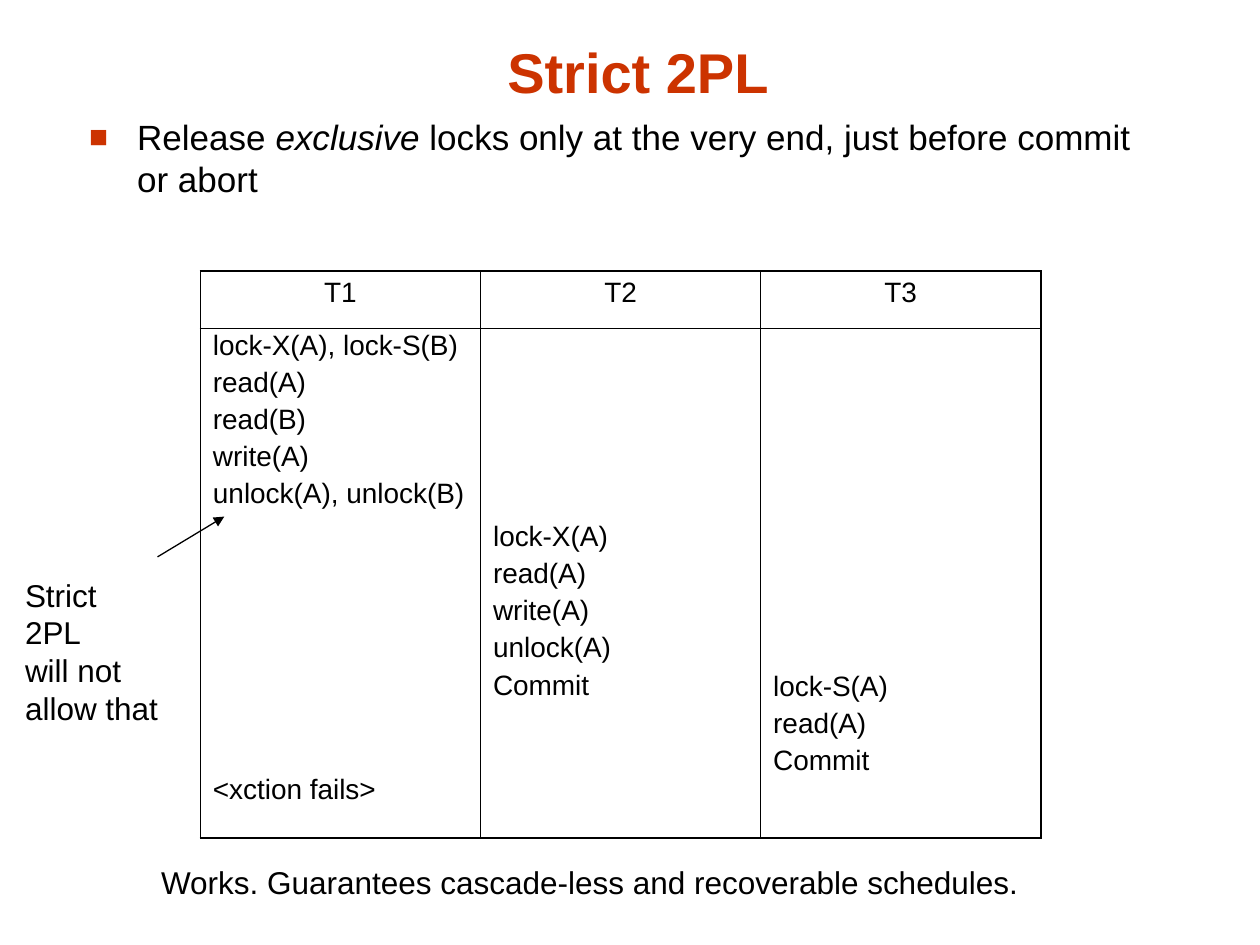
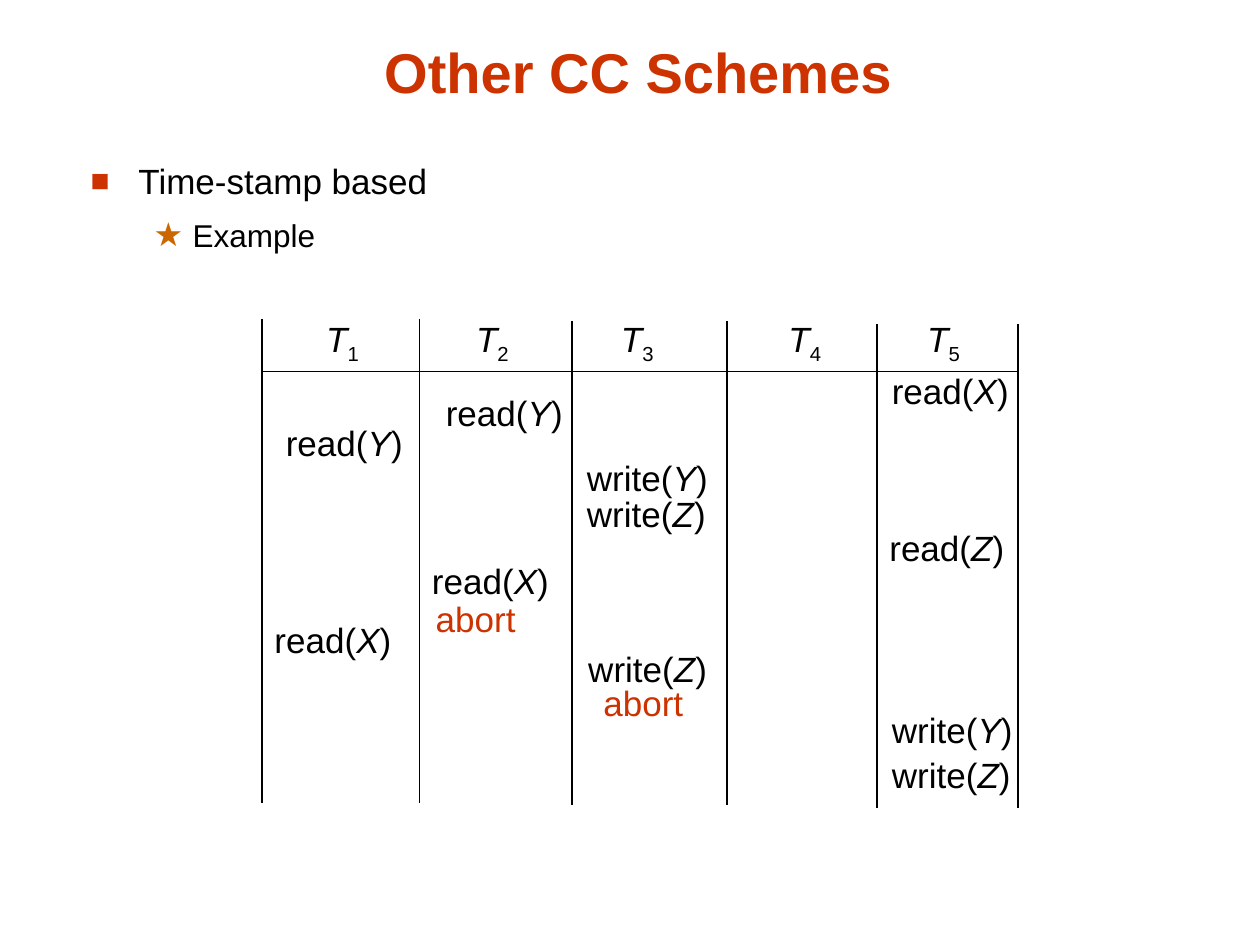
from dataclasses import dataclass
from typing import Optional

from lxml.etree import SubElement
from pptx import Presentation
from pptx.dml.color import RGBColor
from pptx.enum.shapes import MSO_CONNECTOR as Connector
from pptx.enum.text import MSO_ANCHOR as Anchor, MSO_AUTO_SIZE as AutoSize, PP_ALIGN as Align
from pptx.oxml.ns import qn
from pptx.util import Inches, Length, Pt

SLIDE_WIDTH, SLIDE_HEIGHT = Inches(10), Inches(7.5)
GRID_COLUMNS = 100
CELL = SLIDE_WIDTH / GRID_COLUMNS
FONT = "Arial"
BLACK, RED, ORANGE = "000000", "CC3300", "CC6600"
RULE_WIDTH, OUTER_BORDER, INNER_BORDER = 0.75, 1.08, 0.45


@dataclass(frozen=True)
class Run:
    text: str
    size: float = 20
    color: str = BLACK
    bold: bool = False
    italic: bool = False
    subscript: bool = False


@dataclass(frozen=True)
class Bullet:
    character: str
    color: str
    percent: int
    margin: float
    hanging: float


@dataclass(frozen=True)
class Line:
    runs: tuple[Run, ...]
    align: Align = Align.LEFT
    before: float = 0
    spacing: Optional[float] = None
    bullet: Optional[Bullet] = None


@dataclass(frozen=True)
class Box:
    left: float
    top: float
    width: float
    height: float


@dataclass(frozen=True)
class Step:
    column: int
    inset: float
    top: float
    width: float
    action: str
    item: str = ""


@dataclass(frozen=True)
class Schedule:
    name: str
    offset: float
    operations: tuple[str, ...]
    ending: str = ""


SQUARE = Bullet("■", RED, 90, 3.8, 3.8)
STAR = Bullet("★", ORANGE, 105, 8.1, 3.1)
TITLE_BOX = Box(6.5, 2.1, 88.3, 6.7)

SCHEDULES = (
    Schedule("T1", 0.5, ("lock-X(A), lock-S(B)", "read(A)", "read(B)", "write(A)",
                         "unlock(A), unlock(B)"), "<xction fails>"),
    Schedule("T2", 15.7, ("lock-X(A)", "read(A)", "write(A)", "unlock(A)", "Commit")),
    Schedule("T3", 27.6, ("lock-S(A)", "read(A)", "Commit")),
)
SCHEDULE_BOX = Box(15.9, 21.5, 66.7, 45)
HEADER_HEIGHT = 4.6
OPERATION_GAP, ENDING_GAP = 7, 155

RULES = (20.8, 33.3, 45.4, 57.7, 69.6, 80.8)
RULE_TOP, RULE_DROP, RULE_LENGTH = 25.3, 0.2, 38.4
HEADER_RULE = 29.5
HEADER_INSETS = (4.1, 3.5, 2.9, 3.9, 3)
STEPS = (
    Step(4, 0.2, 28.8, 12, "read", "X"),
    Step(1, 1.1, 30.6, 11.3, "read", "Y"),
    Step(0, 0.9, 33, 11.3, "read", "Y"),
    Step(2, 0.2, 35.7, 12.3, "write", "Y"),
    Step(2, 0.2, 38.6, 12.2, "write", "Z"),
    Step(4, 0, 41.3, 11.9, "read", "Z"),
    Step(1, 0, 43.9, 12, "read", "X"),
    Step(1, 0.3, 46.9, 9.9, "abort"),
    Step(0, 0, 48.6, 12, "read", "X"),
    Step(2, 0.3, 50.9, 12.2, "write", "Z"),
    Step(2, 1.5, 53.6, 9.9, "abort"),
    Step(4, 0.2, 55.7, 12.3, "write", "Y"),
    Step(4, 0.2, 59.3, 13, "write", "Z"),
)


def grid(cells: float) -> Length:
    return Length(round(cells * CELL))


def rgb(color: str) -> RGBColor:
    return RGBColor.from_string(color)


def place(box: Box) -> tuple[Length, ...]:
    return tuple(grid(value) for value in (box.left, box.top, box.width, box.height))


def add_bullet(paragraph, bullet: Bullet) -> None:
    properties = paragraph._p.get_or_add_pPr()
    properties.set("marL", str(grid(bullet.margin)))
    properties.set("indent", str(-grid(bullet.hanging)))
    color = SubElement(properties, qn("a:buClr"))
    SubElement(color, qn("a:srgbClr"), val=bullet.color)
    SubElement(properties, qn("a:buSzPct"), val=str(bullet.percent * 1000))
    SubElement(properties, qn("a:buFont"), typeface=FONT)
    SubElement(properties, qn("a:buChar"), char=bullet.character)


def write_lines(frame, lines: list[Line]) -> None:
    for index, line in enumerate(lines):
        paragraph = frame.add_paragraph() if index else frame.paragraphs[0]
        paragraph.alignment = line.align
        paragraph.space_before = Pt(line.before)
        if line.spacing:
            paragraph.line_spacing = line.spacing
        if line.bullet:
            add_bullet(paragraph, line.bullet)
        for part in line.runs:
            run = paragraph.add_run()
            run.text = part.text
            font = run.font
            font.name, font.size = FONT, Pt(part.size)
            font.bold, font.italic = part.bold, part.italic
            font.color.rgb = rgb(part.color)
            if part.subscript:
                font._element.set("baseline", "-25000")


def add_text(slide, box: Box, lines: list[Line], wrap: bool = False,
             anchor: Anchor = Anchor.TOP) -> None:
    frame = slide.shapes.add_textbox(*place(box)).text_frame
    frame.word_wrap = wrap
    frame.auto_size = AutoSize.NONE if wrap else AutoSize.SHAPE_TO_FIT_TEXT
    frame.vertical_anchor = anchor
    write_lines(frame, lines)


def add_rule(slide, start: tuple[float, float], end: tuple[float, float],
             arrow: bool = False) -> None:
    points = (grid(value) for value in (*start, *end))
    connector = slide.shapes.add_connector(Connector.STRAIGHT, *points)
    connector.line.color.rgb = rgb(BLACK)
    connector.line.width = Pt(RULE_WIDTH)
    if arrow:
        SubElement(connector.line._get_or_add_ln(), qn("a:tailEnd"), type="triangle")
    SubElement(connector._element.spPr, qn("a:effectLst"))


def add_titled_slide(presentation, title: str):
    slide = presentation.slides.add_slide(presentation.slide_layouts[6])
    heading = Line((Run(title, 32, RED, bold=True),), Align.CENTER)
    add_text(slide, TITLE_BOX, [heading], wrap=True, anchor=Anchor.BOTTOM)
    return slide


def set_borders(cell, outer_sides: dict[str, bool]) -> None:
    properties = cell._tc.get_or_add_tcPr()
    for side, is_outer in outer_sides.items():
        width = Pt(OUTER_BORDER if is_outer else INNER_BORDER)
        border = SubElement(properties, qn(f"a:ln{side}"), w=str(width))
        fill = SubElement(border, qn("a:solidFill"))
        SubElement(fill, qn("a:srgbClr"), val=BLACK)
    cell.fill.background()


def add_schedule_table(slide) -> None:
    count = len(SCHEDULES)
    table = slide.shapes.add_table(2, count, *place(SCHEDULE_BOX)).table
    table.first_row = table.horz_banding = False
    table.rows[0].height = grid(HEADER_HEIGHT)
    table.rows[1].height = grid(SCHEDULE_BOX.height - HEADER_HEIGHT)
    for column, schedule in enumerate(SCHEDULES):
        table.columns[column].width = grid(SCHEDULE_BOX.width / count)
        for row in range(2):
            set_borders(table.cell(row, column), {
                "L": column == 0, "R": column == count - 1, "T": row == 0, "B": row == 1})
        header, body = table.cell(0, column), table.cell(1, column)
        write_lines(header.text_frame,
                    [Line((Run(schedule.name, 16),), Align.CENTER, OPERATION_GAP)])
        body.margin_top = grid(schedule.offset)
        lines = [Line((Run(operation, 16),), before=OPERATION_GAP, spacing=0.8)
                 for operation in schedule.operations]
        if schedule.ending:
            lines.append(Line((Run(schedule.ending, 16),), before=ENDING_GAP, spacing=0.8))
        write_lines(body.text_frame, lines)


def build_strict_locking(presentation) -> None:
    slide = add_titled_slide(presentation, "Strict 2PL")
    add_rule(slide, (12.5, 44.2), (17.8, 41), arrow=True)
    warning = ("Strict 2PL", "will not", "allow that")
    add_text(slide, Box(1, 45.2, 12.8, 10), [Line((Run(text, 18),)) for text in warning])
    definition = (Run("Release "), Run("exclusive", italic=True),
                  Run(" locks only at the very end, just before commit or abort"))
    add_text(slide, Box(6.1, 8.7, 85.8, 53.3),
             [Line(definition, before=8.8, bullet=SQUARE)], wrap=True)
    add_schedule_table(slide)
    conclusion = Run("Works. Guarantees cascade-less and recoverable schedules.", 18)
    add_text(slide, Box(11.8, 68, 70.1, 4), [Line((conclusion,))])


def build_other_schemes(presentation) -> None:
    slide = add_titled_slide(presentation, "Other CC Schemes")
    add_text(slide, Box(6.2, 12.2, 85.8, 53.3), [
        Line((Run("Time-stamp based"),), before=8.8, bullet=SQUARE),
        Line((Run("Example", 18),), before=7.9, bullet=STAR),
    ], wrap=True)
    for index, left in enumerate(RULES):
        top = RULE_TOP + RULE_DROP * (index // 2)
        add_rule(slide, (left, top), (left, top + RULE_LENGTH))
    add_rule(slide, (RULES[0], HEADER_RULE), (RULES[-1], HEADER_RULE))
    for number, (left, inset) in enumerate(zip(RULES, HEADER_INSETS), 1):
        name = (Run("T", italic=True), Run(str(number), subscript=True))
        add_text(slide, Box(left + inset, 24.7, 4.6, 4.8), [Line(name)])
    for step in STEPS:
        if step.item:
            runs = (Run(f"{step.action}("), Run(step.item, italic=True), Run(")"))
        else:
            runs = (Run(step.action, color=RED),)
        left = RULES[step.column] + step.inset
        add_text(slide, Box(left, step.top, step.width, 4.4), [Line(runs)])


def main() -> None:
    presentation = Presentation()
    presentation.slide_width, presentation.slide_height = SLIDE_WIDTH, SLIDE_HEIGHT
    build_strict_locking(presentation)
    build_other_schemes(presentation)
    presentation.save("out.pptx")


if __name__ == "__main__":
    main()
